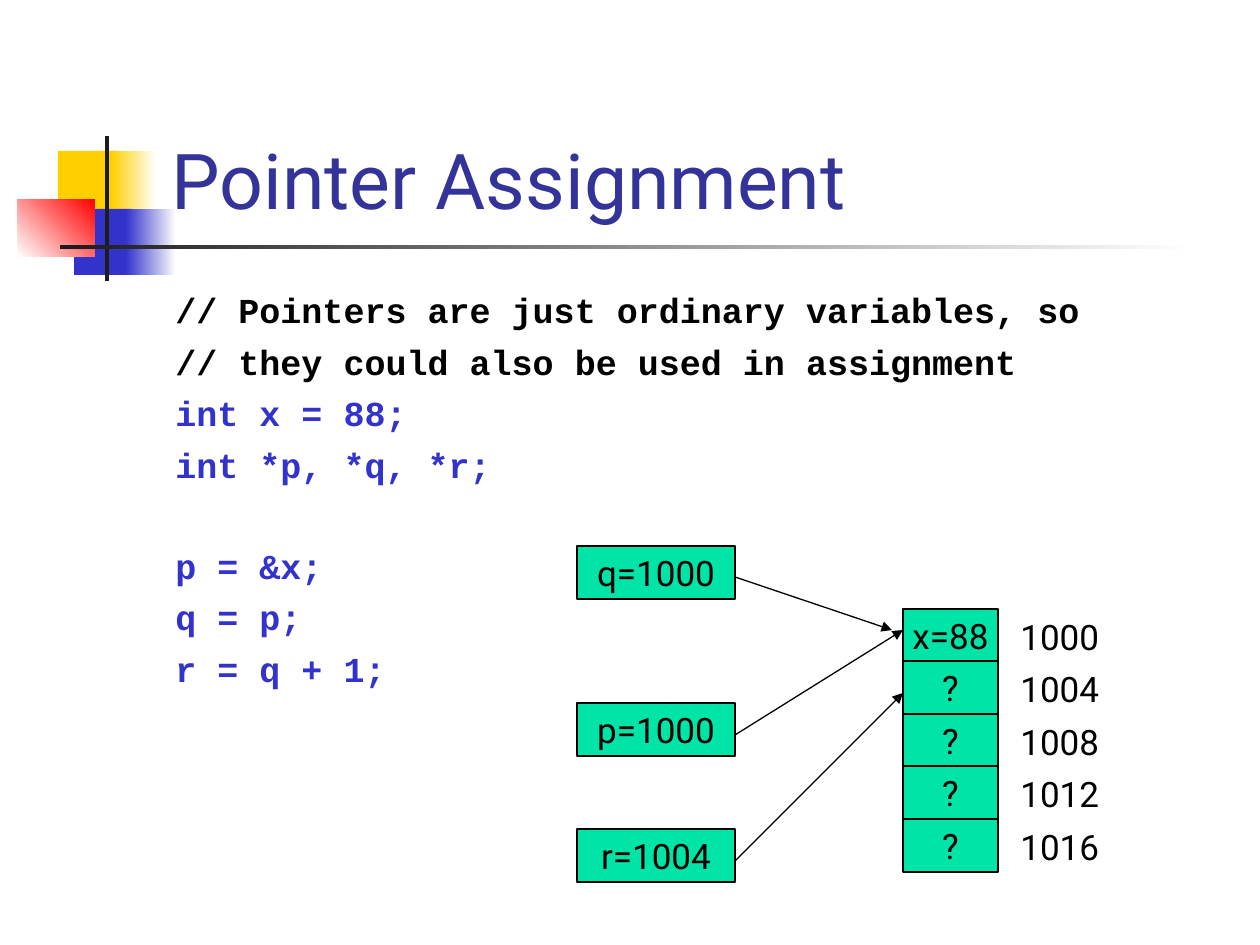
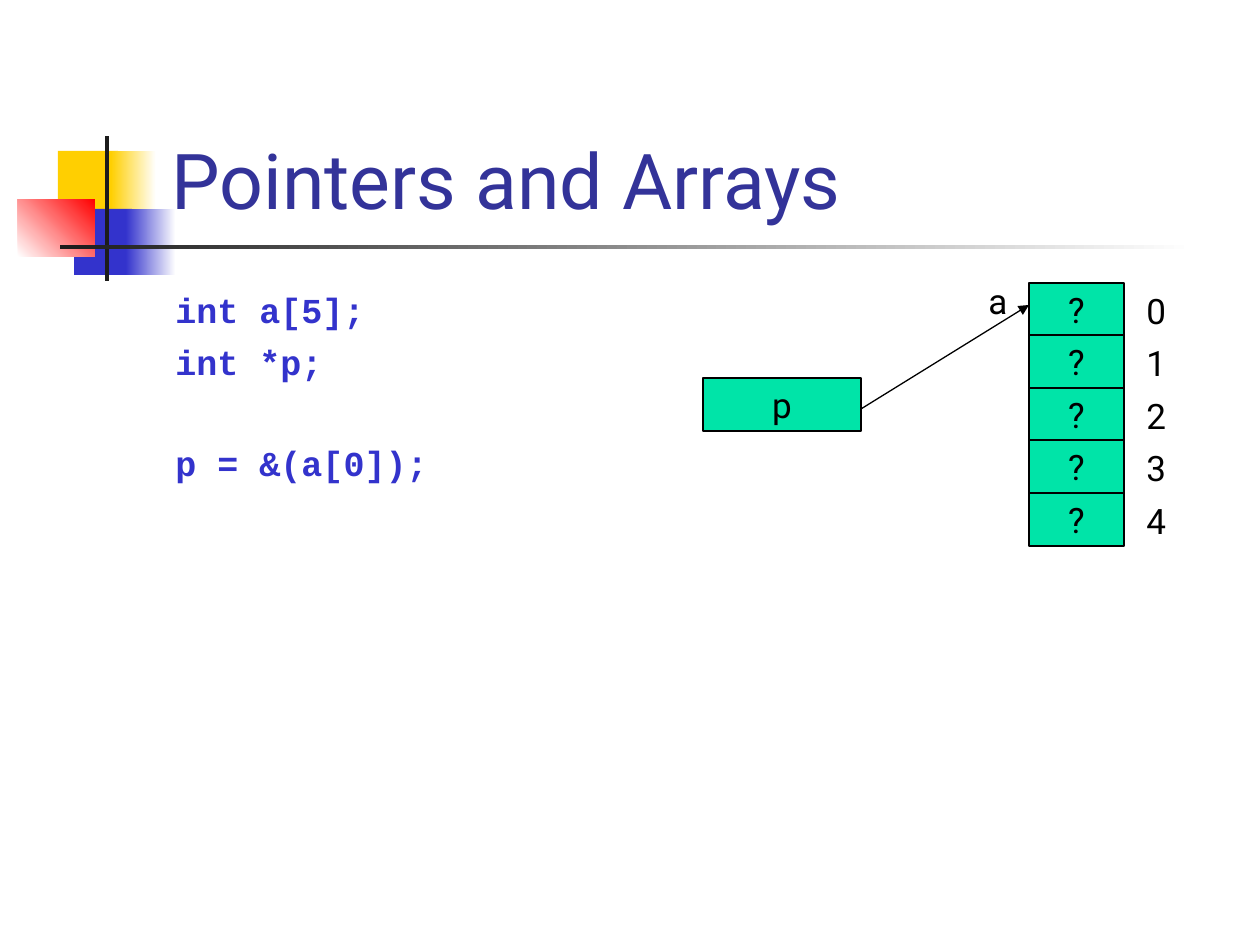
from dataclasses import dataclass

from lxml.etree import SubElement
from pptx import Presentation
from pptx.dml.color import RGBColor
from pptx.enum.shapes import MSO_CONNECTOR, MSO_SHAPE
from pptx.enum.text import MSO_ANCHOR, PP_ALIGN
from pptx.oxml.ns import qn
from pptx.presentation import Presentation as Deck
from pptx.shapes.autoshape import Shape
from pptx.slide import Slide
from pptx.text.text import TextFrame, _Paragraph
from pptx.util import Emu, Pt

PX_PER_INCH = 126
CELL_W, CELL_H = 95, 53
NODE_W = 158
LABEL_OFFSET = 105
LABEL_H = 54


@dataclass(frozen=True)
class Theme:
    """Colours, fonts and type sizes of the deck."""
    title: str = "333399"
    code: str = "3333CC"
    ink: str = "000000"
    dark: str = "1C1C1C"
    yellow: str = "FFCF01"
    red: str = "FF0000"
    white: str = "FFFFFF"
    box: str = "00E4A8"
    sans: str = "Roboto"
    mono: str = "Courier New"
    title_pt: float = 44
    text_pt: float = 20
    line_pt: float = 0.75
    code_gap_pt: float = 5.4
    block_gap_pt: float = 33.5


T = Theme()


@dataclass(frozen=True)
class Band:
    """A decorative rectangle; a second colour makes it a gradient."""
    x: int
    y: int
    w: int
    h: int
    color: str
    end: str = ""
    angle: int = 0


@dataclass(frozen=True)
class CodeLine:
    """One line of code and its colour."""
    text: str
    color: str = T.code


@dataclass(frozen=True)
class Node:
    """A pointer variable drawn as a box."""
    x: int
    y: int
    text: str


@dataclass(frozen=True)
class Arrow:
    """An arrow from one point to another."""
    x1: int
    y1: int
    x2: int
    y2: int


@dataclass(frozen=True)
class Memory:
    """A column of memory cells with a label beside each."""
    x: int
    y: int
    values: tuple[str, ...]
    labels: tuple[str, ...]
    label_w: int


BANDS = (
    Band(58, 151, 60, 66, T.yellow),
    Band(111, 151, 45, 66, T.yellow, T.white),
    Band(74, 209, 58, 66, T.code),
    Band(126, 209, 50, 66, T.code, T.white),
    Band(18, 199, 77, 58, T.white, T.red, 45),
    Band(105, 136, 4, 145, T.dark),
    Band(60, 245, 1134, 4, T.dark, T.white),
)


def px(n: int) -> Emu:
    """Turn pixels into EMU."""
    return Emu(round(n * 914400 / PX_PER_INCH))


def add_run(p: _Paragraph, text: str, size: float = T.text_pt,
            color: str = T.ink, font: str = T.sans, bold: bool = False) -> None:
    """Append one styled run to a paragraph."""
    r = p.add_run()
    r.text = text
    r.font.name, r.font.size, r.font.bold = font, Pt(size), bold
    r.font.color.rgb = RGBColor.from_string(color)


def add_rect(s: Slide, x: int, y: int, w: int, h: int) -> Shape:
    """Add a rectangle without shadow."""
    sp = s.shapes.add_shape(MSO_SHAPE.RECTANGLE, px(x), px(y), px(w), px(h))
    sp.shadow.inherit = False
    return sp


def add_text_box(s: Slide, x: int, y: int, w: int, h: int) -> TextFrame:
    """Add a wrapping text box and return its frame."""
    tf = s.shapes.add_textbox(px(x), px(y), px(w), px(h)).text_frame
    tf.word_wrap = True
    return tf


def add_band(s: Slide, band: Band) -> None:
    """Draw one piece of the title decoration."""
    sp = add_rect(s, band.x, band.y, band.w, band.h)
    sp.line.fill.background()
    if band.end:
        sp.fill.gradient()
        sp.fill.gradient_angle = band.angle
        for stop, color in zip(sp.fill.gradient_stops, (band.color, band.end)):
            stop.color.rgb = RGBColor.from_string(color)
    else:
        sp.fill.solid()
        sp.fill.fore_color.rgb = RGBColor.from_string(band.color)


def add_base(prs: Deck, title: str) -> Slide:
    """Start a slide with the shared decoration and a title."""
    s = prs.slides.add_slide(prs.slide_layouts[6])
    for band in BANDS:
        add_band(s, band)
    tf = add_text_box(s, 159, 29, 1073, 202)
    tf.vertical_anchor = MSO_ANCHOR.BOTTOM
    add_run(tf.paragraphs[0], title, T.title_pt, T.title)
    return s


def add_code(s: Slide, *blocks: tuple[CodeLine, ...]) -> None:
    """Write blocks of code, set apart by paragraph spacing."""
    tf = add_text_box(s, 163, 278, 1071, 567)
    tf.margin_top = px(11)
    for b, block in enumerate(blocks):
        for i, line in enumerate(block):
            first = b == i == 0
            p = tf.paragraphs[0] if first else tf.add_paragraph()
            if not first:
                p.space_before = Pt(T.code_gap_pt if i else T.block_gap_pt)
            pPr = p._p.get_or_add_pPr()
            pPr.set("marL", str(px(48)))
            pPr.set("indent", str(-px(48)))
            add_run(p, line.text, color=line.color, font=T.mono, bold=True)


def add_box(s: Slide, x: int, y: int, w: int, text: str) -> None:
    """Draw an outlined box with centred text."""
    sp = add_rect(s, x, y, w, CELL_H)
    sp.fill.solid()
    sp.fill.fore_color.rgb = RGBColor.from_string(T.box)
    sp.line.color.rgb = RGBColor.from_string(T.ink)
    sp.line.width = Pt(T.line_pt)
    tf = sp.text_frame
    tf.word_wrap = False
    tf.vertical_anchor = MSO_ANCHOR.MIDDLE
    p = tf.paragraphs[0]
    p.alignment = PP_ALIGN.CENTER
    add_run(p, text)


def add_label(s: Slide, x: int, y: int, w: int, text: str) -> None:
    """Write a plain label."""
    add_run(add_text_box(s, x, y, w, LABEL_H).paragraphs[0], text)


def add_memory(s: Slide, m: Memory) -> None:
    """Stack the cells of a memory column and label each."""
    for i, (value, label) in enumerate(zip(m.values, m.labels)):
        y = m.y + i * 105 // 2
        add_box(s, m.x, y, CELL_W, value)
        add_label(s, m.x + LABEL_OFFSET, y, m.label_w, label)


def add_arrow(s: Slide, a: Arrow) -> None:
    """Draw a thin line with a triangular head at its end."""
    c = s.shapes.add_connector(MSO_CONNECTOR.STRAIGHT,
                               px(a.x1), px(a.y1), px(a.x2), px(a.y2))
    c.line.color.rgb = RGBColor.from_string(T.ink)
    c.line.width = Pt(T.line_pt)
    spPr = c._element.spPr
    SubElement(spPr.find(qn("a:ln")), qn("a:tailEnd"), type="triangle")
    SubElement(spPr, qn("a:effectLst"))


def add_diagram(s: Slide, memory: Memory, nodes: tuple[Node, ...],
                arrows: tuple[Arrow, ...]) -> None:
    """Draw a memory column and the pointers into it."""
    add_memory(s, memory)
    for n in nodes:
        add_box(s, n.x, n.y, NODE_W, n.text)
    for a in arrows:
        add_arrow(s, a)


def build_assignment(prs: Deck) -> None:
    """Build the slide on pointer assignment."""
    s = add_base(prs, "Pointer Assignment")
    add_code(
        s,
        (CodeLine("// Pointers are just ordinary variables, so", T.ink),
         CodeLine("// they could also be used in assignment", T.ink),
         CodeLine("int x = 88;"),
         CodeLine("int *p, *q, *r;")),
        (CodeLine("p = &x;"), CodeLine("q = p;"), CodeLine("r = q + 1;")),
    )
    addresses = tuple(str(n) for n in range(1000, 1020, 4))
    add_diagram(
        s,
        Memory(903, 609, ("x=88",) + ("?",) * 4, addresses, 178),
        (Node(577, 703, "p=1000"), Node(577, 546, "q=1000"),
         Node(577, 829, "r=1004")),
        (Arrow(735, 735, 903, 630), Arrow(735, 577, 892, 630),
         Arrow(735, 861, 903, 693)),
    )


def build_arrays(prs: Deck) -> None:
    """Build the slide on pointers and arrays."""
    s = add_base(prs, "Pointers and Arrays")
    add_code(s, (CodeLine("int a[5];"), CodeLine("int *p;")),
             (CodeLine("p = &(a[0]);"),))
    add_diagram(
        s,
        Memory(1029, 283, ("?",) * 5, tuple("01234"), 63),
        (Node(703, 378, "p"),),
        (Arrow(861, 409, 1029, 305),),
    )
    add_label(s, 976, 273, 63, "a")


def main() -> None:
    """Build and save the deck."""
    prs = Presentation()
    prs.slide_width, prs.slide_height = px(1260), px(945)
    build_assignment(prs)
    build_arrays(prs)
    prs.save("out.pptx")


main()
